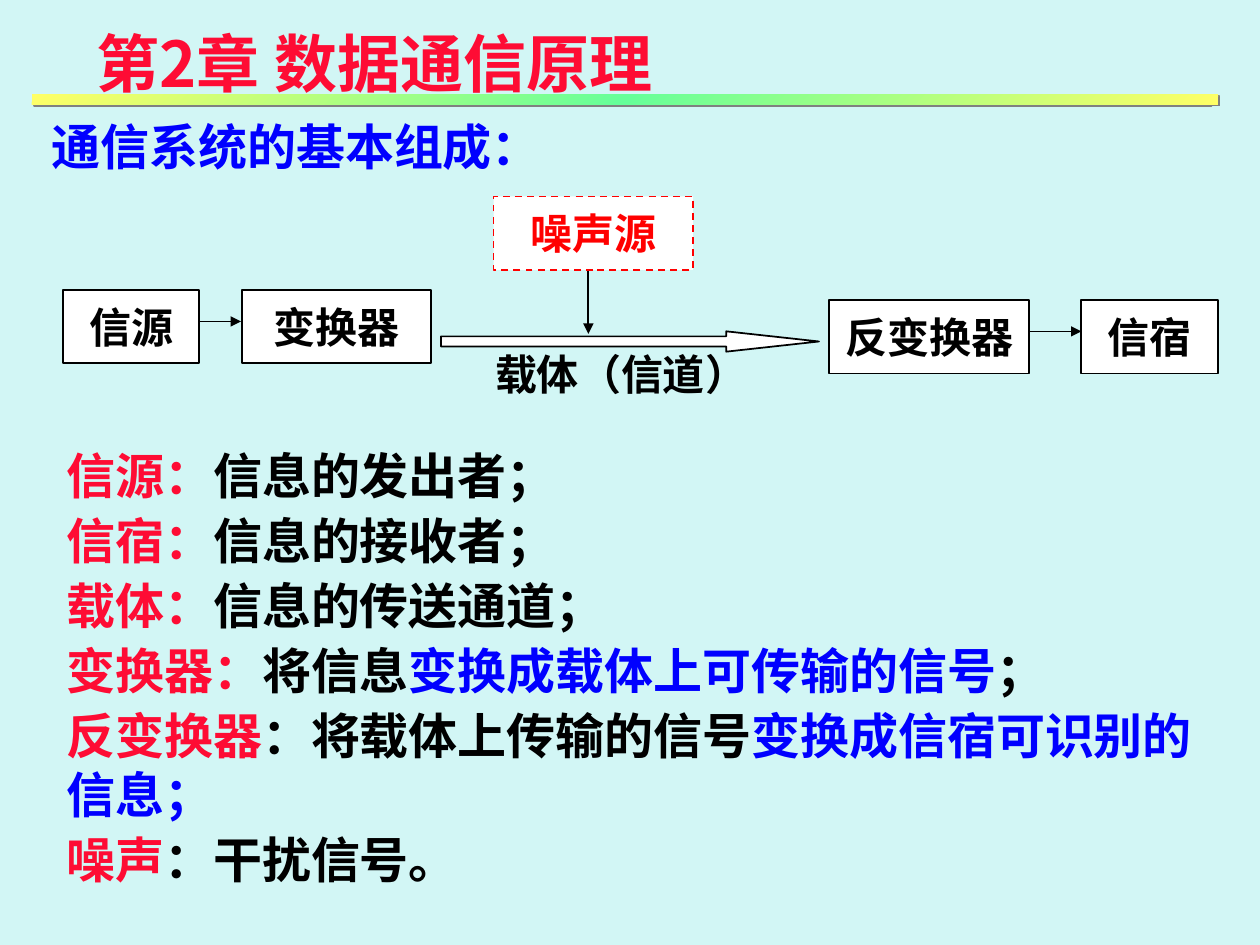
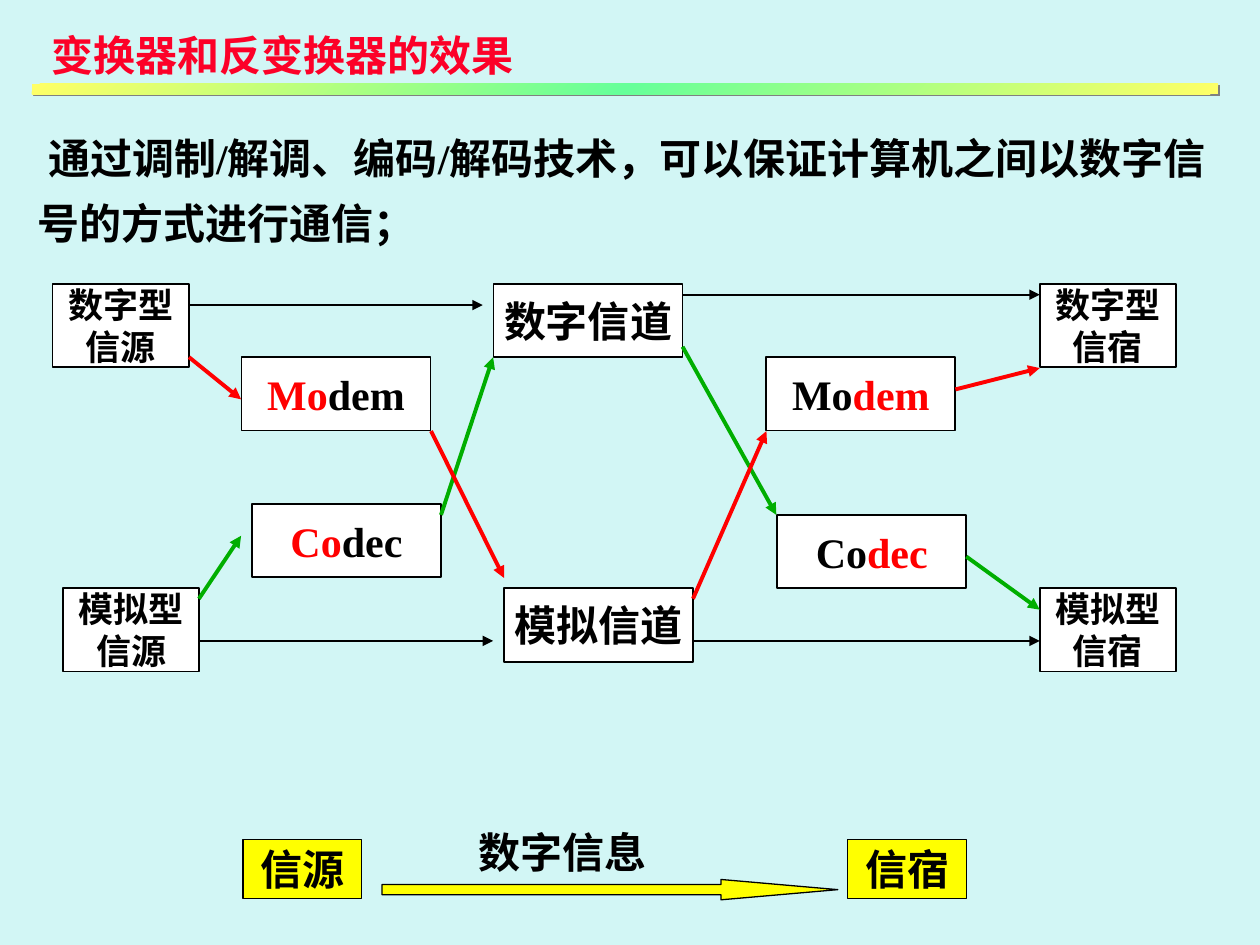
from pptx import Presentation
from pptx.dml.color import RGBColor
from pptx.enum.dml import MSO_LINE_DASH_STYLE as Dash
from pptx.enum.shapes import MSO_CONNECTOR, MSO_SHAPE
from pptx.enum.text import MSO_ANCHOR, PP_ALIGN
from pptx.oxml.ns import qn
from pptx.util import Cm, Pt
from copy import deepcopy
from lxml.etree import SubElement

PALE_CYAN = RGBColor(0xD2, 0xF6, 0xF5)
BLACK = RGBColor(0, 0, 0)
WHITE = RGBColor(255, 255, 255)
RED = RGBColor(255, 0, 0)
CRIMSON = RGBColor(0xFE, 0x0C, 0x34)
SCARLET = RGBColor(0xFC, 0x01, 0x28)
BLUE = RGBColor(0, 0, 255)
GREEN = RGBColor(0, 0xAE, 0)
YELLOW = RGBColor(255, 255, 0)
BAND_YELLOW = RGBColor(0xFF, 0xFF, 0x66)
BAND_GREEN = RGBColor(0x66, 0xFF, 0x99)
SERIF = "Times New Roman"
SANS = "Noto Sans CJK SC"


def write_text(shape, paragraphs, size=24, font=SERIF):
    frame = shape.text_frame
    for index, spans in enumerate(paragraphs):
        para = frame.paragraphs[0] if index == 0 else frame.add_paragraph()
        para.font.name = font
        para.font.size = Pt(size)
        para.font.bold = True
        for text, color in spans:
            span = para.add_run()
            span.text = text
            span.font.color.rgb = color
    return frame


def add_figure(page, kind, place, fill=WHITE, edge=BLACK, weight=1):
    shape = page.shapes.add_shape(kind, *map(Cm, place))
    shape.shadow.inherit = False
    shape.fill.solid()
    shape.fill.fore_color.rgb = fill
    shape.line.color.rgb = edge
    shape.line.width = Pt(weight)
    frame = shape.text_frame
    frame.word_wrap = False
    frame.vertical_anchor = MSO_ANCHOR.MIDDLE
    return shape


deck = Presentation()
deck.slide_width, deck.slide_height = Cm(25.4), Cm(19.05)
pages = []
for band_top in (1.9, 1.69):
    page = deck.slides.add_slide(deck.slide_layouts[6])
    page.background.fill.solid()
    page.background.fill.fore_color.rgb = PALE_CYAN
    band = page.shapes.add_shape(MSO_SHAPE.RECTANGLE, Cm(0.64), Cm(band_top), Cm(23.92), Cm(0.21))
    band.line.fill.background()
    band.fill.gradient()
    band.fill.gradient_angle = 135
    stop_list = band._element.spPr.find(qn("a:gradFill")).find(qn("a:gsLst"))
    stop_list.append(deepcopy(stop_list[1]))
    for stop, color, position in zip(band.fill.gradient_stops, (BAND_YELLOW, BAND_GREEN, BAND_YELLOW), (0, 0.5, 1)):
        stop.color.rgb = color
        stop.position = position
    band.shadow.inherit = False
    effects = band._element.spPr.find(qn("a:effectLst"))
    shadow = SubElement(effects, qn("a:outerShdw"), dist=str(Pt(1.4)), dir="2700000", algn="ctr", rotWithShape="0")
    SubElement(shadow, qn("a:srgbClr"), val="808080")
    pages.append(page)
system_page, effect_page = pages

definitions = [
    [("信源：", CRIMSON), ("信息的发出者；", BLACK)],
    [("信宿：", CRIMSON), ("信息的接收者；", BLACK)],
    [("载体：", CRIMSON), ("信息的传送通道；", BLACK)],
    [("变换器：", CRIMSON), ("将信息", BLACK), ("变换成载体上可传输的信号", BLUE), ("；", BLACK)],
    [("反变换器", CRIMSON), ("：将载体上传输的信号", BLACK), ("变换成信宿可识别的信息；", BLUE)],
    [("噪声", CRIMSON), ("：干扰信号。", BLACK)],
]
summary = "通过调制/解调、编码/解码技术，可以保证计算机之间以数字信号的方式进行通信；"

frames = []
for page, place, paragraphs, size, font in (
    (system_page, (1.7, 0.36, 12.7, 1.78), [[("第2章 数据通信原理", CRIMSON)]], 36, SANS),
    (system_page, (0.79, 2.36, 23.11, 1.32), [[("通信系统的基本组成：", BLUE)]], 28, SANS),
    (system_page, (9.73, 6.91, 5.72, 1.27), [[("载体（信道）", BLACK)]], 24, SERIF),
    (system_page, (1.09, 8.86, 23.77, 9.17), definitions, 28, SERIF),
    (effect_page, (0.79, 0.48, 10.6, 1.27), [[("变换器和反变换器的效果", SCARLET)]], 24, SERIF),
    (effect_page, (0.51, 2.24, 24.21, 2.9), [[(summary, BLACK)]], 24, SERIF),
    (effect_page, (9.4, 16.54, 4.2, 1.27), [[("数字信息", BLACK)]], 24, SERIF),
):
    box = page.shapes.add_textbox(*map(Cm, place))
    box.text_frame.word_wrap = True
    frames.append(write_text(box, paragraphs, size, font))
frames[1].paragraphs[0].line_spacing = 0.9
for para in frames[3].paragraphs:
    para.space_after = Pt(3.5)
summary_para = frames[5].paragraphs[0]
summary_para.line_spacing = 1.3
summary_para._p.get_or_add_pPr().set("indent", str(Pt(6)))

for page, place, head_ratio, fill, weight in (
    (system_page, (8.89, 6.68, 7.62, 0.41), 4.56, WHITE, 1),
    (effect_page, (7.7, 17.73, 9.19, 0.41), 5.74, YELLOW, 0.75),
):
    block_arrow = add_figure(page, MSO_SHAPE.RIGHT_ARROW, place, fill, weight=weight)
    block_arrow.adjustments[0] = 0.5
    block_arrow.adjustments[1] = head_ratio

END, UNIT, WIDE = (2.75, 1.48), (3.81, 1.48), (4.02, 1.48)
TALL, TAG = (2.75, 1.68), (2.39, 1.19)
for page, corner, extent, paragraphs, size, fill, edge, weight in (
    (system_page, (1.27, 5.84), END, [[("信源", BLACK)]], 24, WHITE, BLACK, 1),
    (system_page, (4.88, 5.84), UNIT, [[("变换器", BLACK)]], 24, WHITE, BLACK, 1),
    (system_page, (9.95, 3.96), WIDE, [[("噪声源", RED)]], 24, WHITE, RED, 1),
    (system_page, (16.72, 6.05), WIDE, [[("反变换器", BLACK)]], 24, WHITE, BLACK, 1),
    (system_page, (21.8, 6.05), END, [[("信宿", BLACK)]], 24, WHITE, BLACK, 1),
    (effect_page, (1.06, 5.72), TALL, [[("数字型", BLACK)], [("信源", BLACK)]], 20, WHITE, BLACK, 1),
    (effect_page, (1.27, 11.86), TALL, [[("模拟型", BLACK)], [("信源", BLACK)]], 20, WHITE, BLACK, 1),
    (effect_page, (20.96, 5.72), TALL, [[("数字型", BLACK)], [("信宿", BLACK)]], 20, WHITE, BLACK, 1),
    (effect_page, (20.96, 11.86), TALL, [[("模拟型", BLACK)], [("信宿", BLACK)]], 20, WHITE, BLACK, 1),
    (effect_page, (4.87, 7.2), UNIT, [[("Mo", RED), ("dem", BLACK)]], 24, WHITE, BLACK, 1),
    (effect_page, (5.08, 10.16), UNIT, [[("Co", RED), ("dec", BLACK)]], 24, WHITE, BLACK, 1),
    (effect_page, (9.95, 5.72), UNIT, [[("数字信道", BLACK)]], 24, WHITE, BLACK, 1),
    (effect_page, (10.16, 11.86), UNIT, [[("模拟信道", BLACK)]], 24, WHITE, BLACK, 1),
    (effect_page, (15.45, 7.2), UNIT, [[("Mo", BLACK), ("dem", RED)]], 24, WHITE, BLACK, 1),
    (effect_page, (15.67, 10.38), UNIT, [[("Co", BLACK), ("dec", RED)]], 24, WHITE, BLACK, 1),
    (effect_page, (4.9, 16.92), TAG, [[("信源", BLACK)]], 24, YELLOW, BLACK, 0.75),
    (effect_page, (17.09, 16.92), TAG, [[("信宿", BLACK)]], 24, YELLOW, BLACK, 0.75),
):
    node = add_figure(page, MSO_SHAPE.RECTANGLE, corner + extent, fill, edge, weight)
    if edge == RED:
        node.line.dash_style = Dash.DASH
    for para in write_text(node, paragraphs, size).paragraphs:
        para.alignment = PP_ALIGN.CENTER

for page, color, weight, routes in (
    (system_page, BLACK, 1, (
        (11.86, 5.46, 11.86, 6.73), (4.01, 6.48, 4.86, 6.48), (20.75, 6.68, 21.8, 6.68))),
    (effect_page, GREEN, 2.25, (
        (4.01, 12.07, 4.86, 10.8), (8.89, 10.38, 9.94, 7.2),
        (13.76, 6.99, 15.65, 10.38), (19.48, 11.22, 20.96, 12.29))),
    (effect_page, BLACK, 1, (
        (3.81, 6.15, 9.73, 6.15), (13.76, 5.94, 20.96, 5.94),
        (4.01, 12.92, 9.94, 12.92), (13.97, 12.92, 20.96, 12.92))),
    (effect_page, RED, 2.25, (
        (3.81, 7.2, 4.86, 8.05), (8.69, 8.69, 10.16, 11.65),
        (13.97, 12.07, 15.45, 8.69), (19.26, 7.85, 20.96, 7.42))),
):
    for route in routes:
        arrow = page.shapes.add_connector(MSO_CONNECTOR.STRAIGHT, *map(Cm, route))
        arrow.line.color.rgb = color
        arrow.line.width = Pt(weight)
        SubElement(arrow.line._get_or_add_ln(), qn("a:tailEnd"), type="triangle")
        SubElement(arrow._element.spPr, qn("a:effectLst"))

deck.save("out.pptx")
